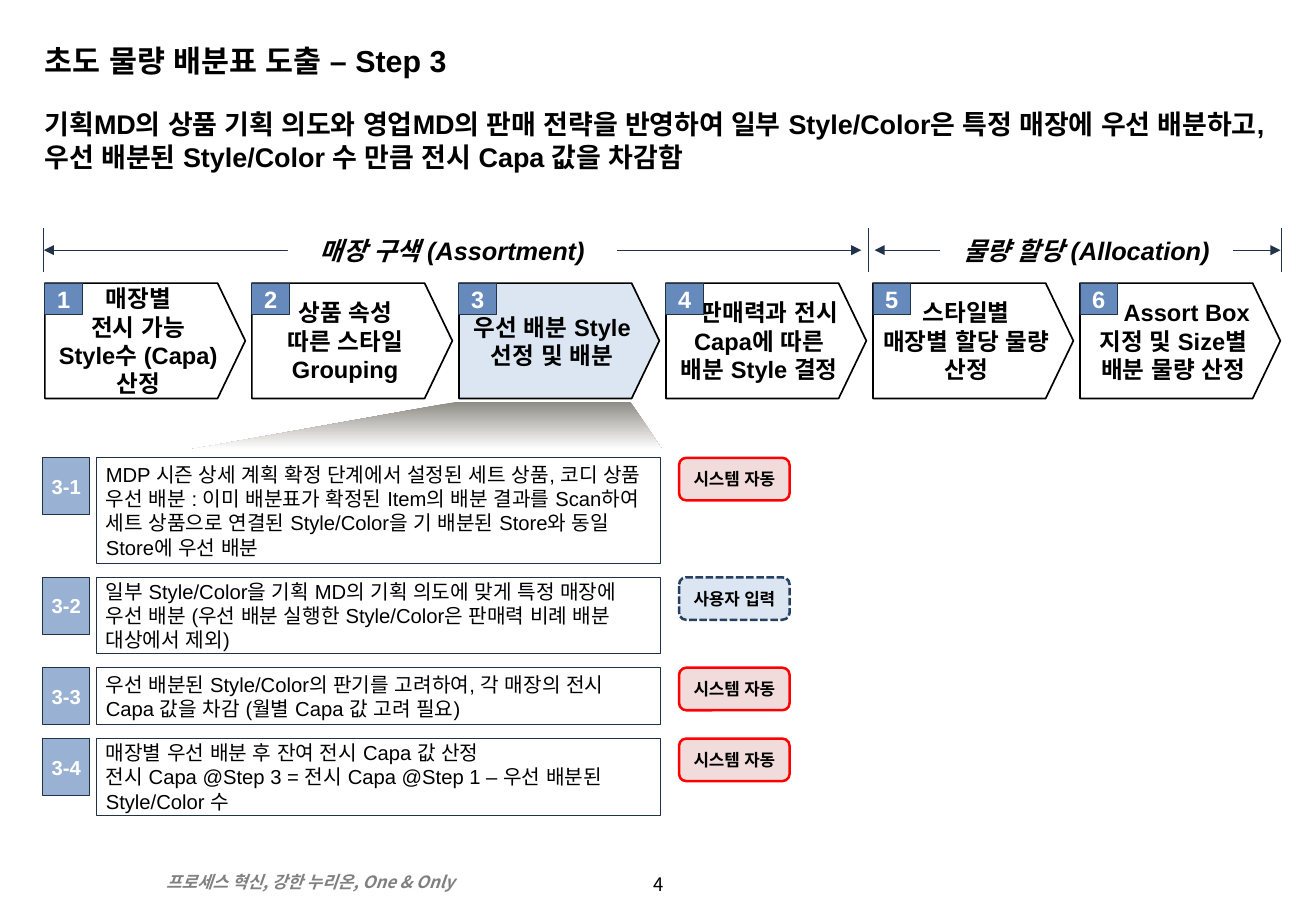
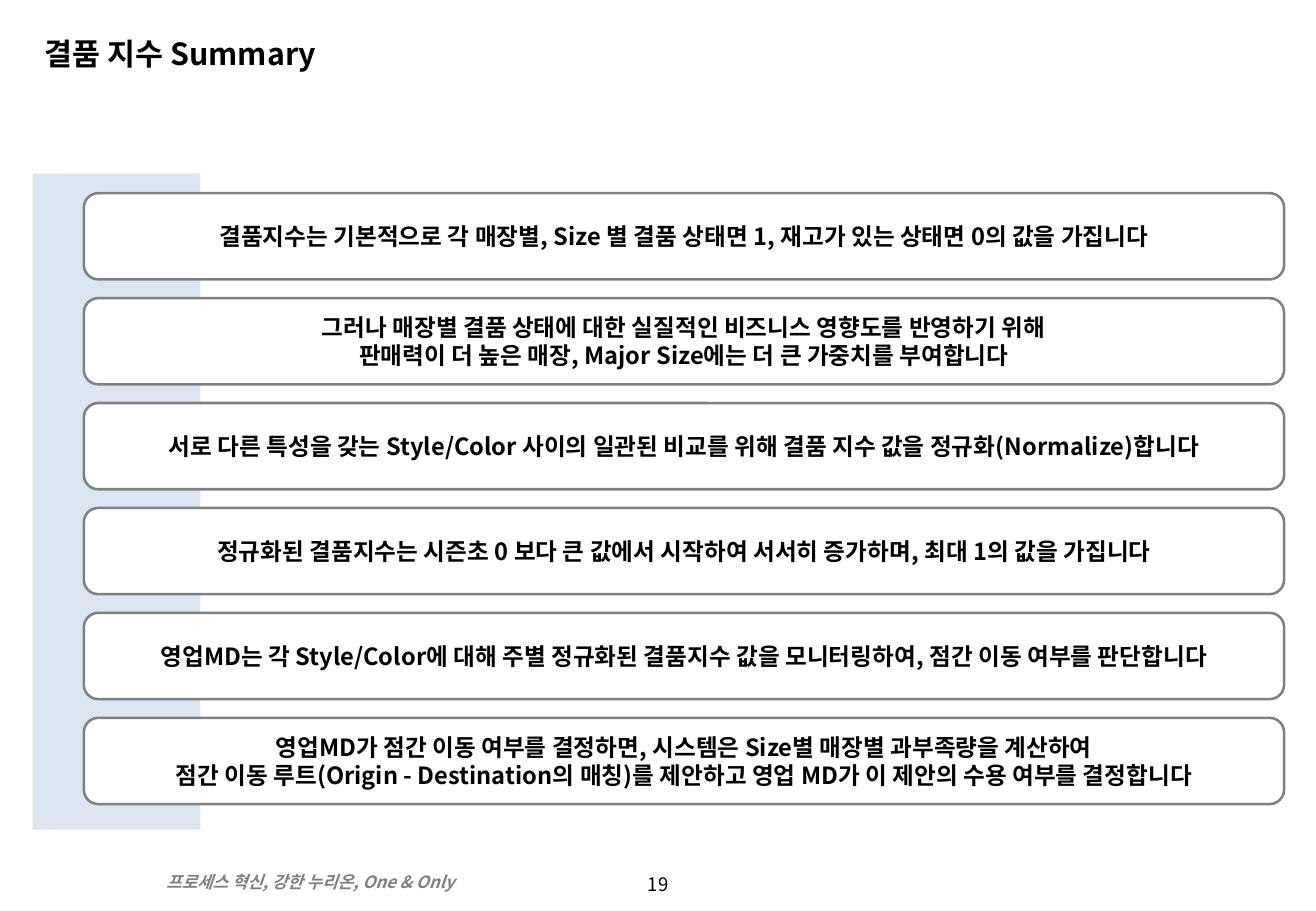
from lxml import etree
from pptx import Presentation
from pptx.dml.color import RGBColor
from pptx.enum import dml, shapes, text
from pptx.oxml.ns import qn
from pptx.util import Pt

ARIAL, NOTO = "Arial", "Noto Sans CJK KR"
BLACK, WHITE, GREY, RED = "000000", "FFFFFF", "808080", "FF0000"
NAVY, BLUE, MID_BLUE, PALE_BLUE = "21324B", "678ABC", "99B1D2", "DCE6F2"
SHAPE, ALIGN, ANCHOR = shapes.MSO_SHAPE, text.PP_ALIGN, text.MSO_ANCHOR

FOOTER = "프로세스 혁신, 강한 누리온, One & Only"

STEP_TITLE = "초도 물량 배분표 도출 – Step 3"
STEP_LEAD = ("기획MD의 상품 기획 의도와 영업MD의 판매 전략을 반영하여 일부 Style/Color은 "
             "특정 매장에 우선 배분하고, 우선 배분된 Style/Color 수 만큼 전시 Capa 값을 차감함")
# label, arrow start, arrow end, label left, label width
PHASES = [
    ("매장 구색 (Assortment)", 26, 510.5, 170.6, 195),
    ("물량 할당 (Allocation)", 518.4, 759, 557.3, 173.5),
]
PHASE_BOUNDS = [26, 514.8, 759.6]
# lines, indent of the first line
STEPS = [
    (["매장별", "전시 가능", "Style수 (Capa) 산정"], 0),
    (["상품 속성", "따른 스타일 Grouping"], 0),
    (["우선 배분 Style 선정 및 배분"], 0),
    (["판매력과 전시 Capa에 따른 배분 Style 결정"], 12),
    (["스타일별", "매장별 할당 물량 산정"], 0),
    (["Assort Box 지정 및 Size별 배분 물량 산정"], 16),
]
CURRENT_STEP = 3
# label, fill, line, dash
AUTO = ("시스템 자동", "F2DCDB", RED, None)
MANUAL = ("사용자 입력", PALE_BLUE, "254061", dml.MSO_LINE.SQUARE_DOT)
# lines, height, who does it
TASKS = [
    (["MDP 시즌 상세 계획 확정 단계에서 설정된 세트 상품, 코디 상품 우선 배분 : "
      "이미 배분표가 확정된 Item의 배분 결과를 Scan하여 세트 상품으로 연결된 "
      "Style/Color을 기 배분된 Store와 동일 Store에 우선 배분"], 62.6, AUTO),
    (["일부 Style/Color을 기획 MD의 기획 의도에 맞게 특정 매장에 우선 배분 "
      "(우선 배분 실행한 Style/Color은 판매력 비례 배분 대상에서 제외)"], 45.4, MANUAL),
    (["우선 배분된 Style/Color의 판기를 고려하여, 각 매장의 전시 Capa 값을 차감 "
      "(월별 Capa 값 고려 필요)"], 33.8, AUTO),
    (["매장별 우선 배분 후 잔여 전시 Capa 값 산정",
      "전시 Capa @Step 3 = 전시 Capa @Step 1 – 우선 배분된 Style/Color 수"], 45.4, AUTO),
]

SUMMARY_TITLE = "결품 지수 Summary"
SUMMARY = [
    ["결품지수는 기본적으로 각 매장별, Size 별 결품 상태면 1, 재고가 있는 상태면 0의 값을 가집니다"],
    ["그러나 매장별 결품 상태에 대한 실질적인 비즈니스 영향도를 반영하기 위해",
     "판매력이 더 높은 매장, Major Size에는 더 큰 가중치를 부여합니다"],
    ["서로 다른 특성을 갖는 Style/Color 사이의 일관된 비교를 위해 결품 지수 값을 정규화(Normalize)합니다"],
    ["정규화된 결품지수는 시즌초 0 보다 큰 값에서 시작하여 서서히 증가하며, 최대 1의 값을 가집니다"],
    ["영업MD는 각 Style/Color에 대해 주별 정규화된 결품지수 값을 모니터링하여, 점간 이동 여부를 판단합니다"],
    ["영업MD가 점간 이동 여부를 결정하면, 시스템은 Size별 매장별 과부족량을 계산하여",
     "점간 이동 루트(Origin - Destination의 매칭)를 제안하고 영업 MD가 이 제안의 수용 여부를 결정합니다"],
]


def rgb(value):
    return RGBColor.from_string(value)


def write(shape, lines, size, font=ARIAL, color=BLACK, bold=True, italic=False,
          align=ALIGN.CENTER, anchor=ANCHOR.MIDDLE, inset=(7.2, 3.6), wrap=True, indent=0):
    """Fill a shape with one paragraph per line, all in one style."""
    frame = shape.text_frame
    frame.word_wrap = wrap
    frame.auto_size = text.MSO_AUTO_SIZE.NONE
    frame.vertical_anchor = anchor
    frame.margin_left = frame.margin_right = Pt(inset[0])
    frame.margin_top = frame.margin_bottom = Pt(inset[1])
    for number, line in enumerate(lines):
        paragraph = frame.add_paragraph() if number else frame.paragraphs[0]
        paragraph.text = line
        paragraph.alignment = align
        style = paragraph.font
        style.size, style.name, style.bold, style.italic = Pt(size), font, bold, italic
        style.color.rgb = rgb(color)
        properties = paragraph._p.pPr
        etree.SubElement(properties.find(qn("a:defRPr")), qn("a:ea"), typeface=font)
        if indent and not number:
            properties.set("marL", "0")
            properties.set("indent", str(Pt(indent)))


def place(shape, left, top, width, height):
    shape.left, shape.top, shape.width, shape.height = map(Pt, (left, top, width, height))


def add_text(slide, box, lines, size, **style):
    write(slide.shapes.add_textbox(*map(Pt, box)), lines, size, **style)


def paint(shape, fill=None, line=None, weight=0.5, dash=None):
    shape.shadow.inherit = False
    if fill:
        shape.fill.solid()
        shape.fill.fore_color.rgb = rgb(fill)
    else:
        shape.fill.background()
    if line:
        shape.line.color.rgb = rgb(line)
        shape.line.width = Pt(weight)
        if dash:
            shape.line.dash_style = dash
    else:
        shape.line.fill.background()


def add_box(slide, kind, box, **look):
    shape = slide.shapes.add_shape(kind, *map(Pt, box))
    paint(shape, **look)
    return shape


def add_line(slide, x1, y1, x2, y2, arrows=False):
    line = slide.shapes.add_connector(shapes.MSO_CONNECTOR.STRAIGHT, *map(Pt, (x1, y1, x2, y2)))
    line.line.color.rgb = rgb(NAVY)
    line.line.width = Pt(0.75)
    if arrows:
        for end in ("a:headEnd", "a:tailEnd"):
            etree.SubElement(line.line._get_or_add_ln(), qn(end), type="triangle")
    etree.SubElement(line._element.spPr, qn("a:effectLst"))


def add_slide(deck, title, page, font, anchor):
    """Add a slide with its title, footer and page number."""
    slide = deck.slides.add_slide(deck.slide_layouts[5])
    place(slide.shapes.title, 19.4, 17.3, 737.3, 33.1)
    write(slide.shapes.title, [title], 18, font=font, align=ALIGN.LEFT, anchor=anchor)
    add_text(slide, (354.2, 513.4, 72, 21.6), [page], 11, font=NOTO, bold=False)
    add_text(slide, (91.4, 513.4, 239, 19.4), [FOOTER], 10, font=NOTO, color=GREY,
             italic=True, align=ALIGN.LEFT, anchor=ANCHOR.TOP)
    return slide


def add_callout(slide):
    """Fading wedge that leads from the current step to its tasks."""
    corners = [(270, 238.3), (113, 266.4), (392.4, 266.4), (373.7, 238.3)]
    start, *others = [(Pt(x), Pt(y)) for x, y in corners]
    outline = slide.shapes.build_freeform(*start, scale=1.0)
    outline.add_line_segments(others, close=True)
    wedge = outline.convert_to_shape()
    paint(wedge)
    wedge.fill.gradient()
    wedge.fill.gradient_angle = 270
    for stop, color in zip(wedge.fill.gradient_stops, ("8E8C85", WHITE)):
        stop.color.rgb = rgb(color)


def add_phases(slide):
    for label, start, end, left, width in PHASES:
        add_line(slide, start, 148.3, end, 148.3, arrows=True)
        heading = add_box(slide, SHAPE.RECTANGLE, (left, 132.5, width, 31.7), fill=WHITE)
        write(heading, [label], 15, italic=True, inset=(7.2, 0))
    for x in PHASE_BOUNDS:
        add_line(slide, x, 135.4, x, 161.3)


def add_steps(slide):
    top, pitch = 167.8, 122.7
    for number, (lines, indent) in enumerate(STEPS, 1):
        left = 26.6 + (number - 1) * pitch
        step = add_box(slide, SHAPE.PENTAGON, (left, top, 118.8, 68.4), line=BLACK, weight=1,
                       fill=PALE_BLUE if number == CURRENT_STEP else WHITE)
        step.adjustments[0] = 0.24
        write(step, lines, 14, inset=(4.3, 0), indent=indent)
        badge = add_box(slide, SHAPE.RECTANGLE, (left, top, 22.3, 18.7), fill=BLUE, line=NAVY)
        write(badge, [str(number)], 14, color=WHITE, inset=(0, 0))


def add_tasks(slide):
    top, gap = 271.4, 8.2
    for number, (lines, height, (who, fill, line, dash)) in enumerate(TASKS, 1):
        badge = add_box(slide, SHAPE.RECTANGLE, (25.2, top, 28.1, 33.8), fill=MID_BLUE, line=NAVY)
        write(badge, [f"{CURRENT_STEP}-{number}"], 12, color=WHITE, inset=(0, 0))
        task = add_box(slide, SHAPE.RECTANGLE, (56.9, top, 334.8, height), line=NAVY)
        write(task, lines, 12, bold=False, align=ALIGN.LEFT, inset=(5.8, 3.6))
        actor = add_box(slide, SHAPE.ROUNDED_RECTANGLE, (402.5, top, 65.5, 25.2),
                        fill=fill, line=line, weight=1.5, dash=dash)
        write(actor, [who], 10, inset=(4.3, 0), wrap=False)
        top += height + gap


def add_summary(slide):
    add_box(slide, SHAPE.RECTANGLE, (19.4, 103, 99.4, 388.8), fill=PALE_BLUE)
    for row, lines in enumerate(SUMMARY):
        point = add_box(slide, SHAPE.ROUNDED_RECTANGLE, (49.7, 114.5 + row * 62.2, 711.4, 51.1),
                        fill=WHITE, line=GREY, weight=1.5)
        write(point, lines, 14, font=NOTO, inset=(8.6, 0))


def main():
    deck = Presentation()
    deck.slide_width, deck.slide_height = Pt(780), Pt(540)

    step_slide = add_slide(deck, STEP_TITLE, "4", ARIAL, ANCHOR.BOTTOM)
    add_text(step_slide, (19.4, 60.5, 738.7, 59.8), [STEP_LEAD], 16,
             align=ALIGN.LEFT, anchor=ANCHOR.TOP)
    add_callout(step_slide)
    add_phases(step_slide)
    add_steps(step_slide)
    add_tasks(step_slide)

    add_summary(add_slide(deck, SUMMARY_TITLE, "19", NOTO, ANCHOR.TOP))
    deck.save("out.pptx")


if __name__ == "__main__":
    main()
